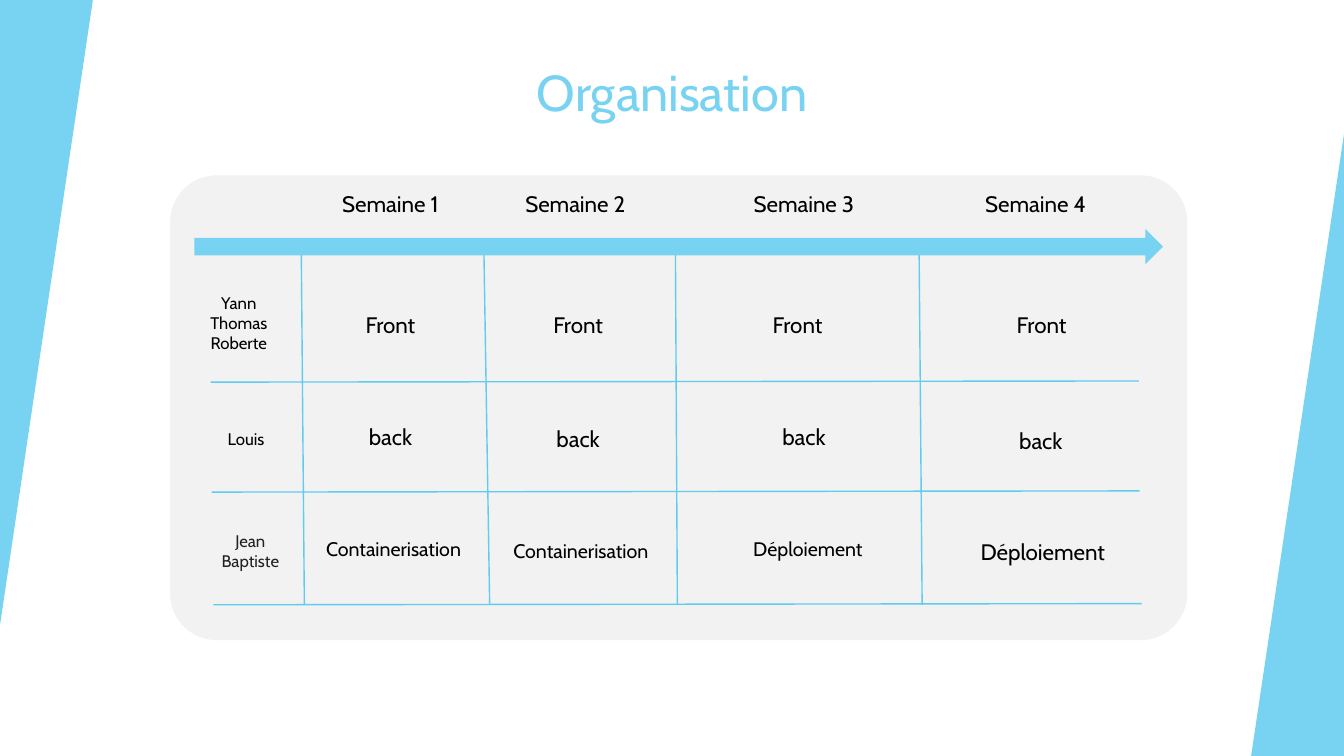
from pptx import Presentation
from pptx.dml.color import RGBColor
from pptx.enum.shapes import MSO_CONNECTOR, MSO_SHAPE as SHAPE
from pptx.enum.text import MSO_ANCHOR as ANCHOR, PP_ALIGN as ALIGN
from pptx.oxml.ns import qn
from pptx.util import Cm, Pt
from lxml.etree import SubElement

SKY = RGBColor(0x77, 0xD3, 0xF1)
GRID_BLUE = RGBColor(0x5F, 0xCB, 0xEF)
PANEL_GREY = RGBColor(0xF2, 0xF2, 0xF2)
BLACK = RGBColor(0, 0, 0)
CHARCOAL = RGBColor(0x21, 0x21, 0x21)
FONT = "Cabin"
SLIDE_W, SLIDE_H = 33.87, 19.05

# Lengths are in cm; positions inside the planning are relative to its panel.
PANEL = (4.29, 4.42, 25.63, 11.71)
GRID_TOP, GRID_BOTTOM = 1.6, 10.82
COLUMN_RULES = [(3.3, 3.38), (7.9, 8.05), (12.73, 12.78), (18.87, 18.95)]
ROW_RULES = [(1.02, 5.21), (1.04, 7.98), (1.09, 10.82)]
RULE_LENGTH, RULE_RISE = 23.39, 0.03
WEEK_WIDTH, TEAM_WIDTH = 4.5, 2.6

# Each entry: text, centre x, centre y, size
WEEKS = [(f"Semaine {number}", x, 0.7, 16)
         for number, x in enumerate((5.55, 10.21, 15.97, 21.81), 1)]
TASKS = [
    *(("Front", x, 3.75, 16) for x in (5.55, 10.28, 15.81, 21.96)),
    ("back", 5.55, 6.57, 16), ("back", 10.28, 6.64, 16),
    ("back", 15.97, 6.57, 16), ("back", 21.94, 6.67, 16),
    ("Containerisation", 5.63, 9.4, 14), ("Containerisation", 10.35, 9.45, 14),
    ("Déploiement", 16.07, 9.4, 14), ("Déploiement", 21.99, 9.49, 16),
]
TEAMS = [
    (("Yann", "Thomas", "Roberte"), 1.73, 3.72, BLACK),
    (("Louis",), 1.91, 6.65, BLACK),
    (("Jean Baptiste",), 2.02, 9.47, CHARCOAL),
]


def add_filled(slide, kind, box, color):
    shape = slide.shapes.add_shape(kind, *map(Cm, box))
    shape.shadow.inherit = False
    shape.fill.solid()
    shape.fill.fore_color.rgb = color
    shape.line.fill.background()
    return shape


def add_rule(slide, start, end):
    rule = slide.shapes.add_connector(
        MSO_CONNECTOR.STRAIGHT, *map(Cm, (*start, *end)))
    rule.line.color.rgb = GRID_BLUE
    rule.line.width = Pt(1)
    SubElement(rule._element.spPr, qn("a:effectLst"))


def write_line(paragraph, text, size, color):
    paragraph.alignment = ALIGN.CENTER
    run = paragraph.add_run()
    run.text = text
    run.font.name = FONT
    run.font.size = Pt(size)
    run.font.color.rgb = color


def add_label(slide, lines, centre, width, size, color=BLACK):
    """Write centred lines in a box around the given centre."""
    x, y = centre
    height = 0.5 * len(lines) + 0.4
    label = slide.shapes.add_textbox(
        *map(Cm, (x - width / 2, y - height / 2, width, height)))
    frame = label.text_frame
    frame.word_wrap = True
    frame.vertical_anchor = ANCHOR.MIDDLE
    for index, line in enumerate(lines):
        paragraph = frame.add_paragraph() if index else frame.paragraphs[0]
        write_line(paragraph, line, size, color)


def add_side_wedges(slide, width, height):
    left = add_filled(slide, SHAPE.ISOSCELES_TRIANGLE,
                      (0, 0, width, height), SKY)
    left.rotation = 180
    right = add_filled(slide, SHAPE.ISOSCELES_TRIANGLE,
                       (SLIDE_W - width, 3.38, width, SLIDE_H - 3.38), SKY)
    for wedge in (left, right):
        wedge.adjustments[0] = 1


def set_title(slide, text, box):
    title = slide.shapes.title
    title.left, title.top, title.width, title.height = map(Cm, box)
    title.text_frame.vertical_anchor = ANCHOR.TOP
    write_line(title.text_frame.paragraphs[0], text, 36, SKY)


def add_planning(slide, box):
    """Draw the panel, its grid, the time arrow and all cell texts."""
    left, top, _, _ = box

    def place(x, y):
        return left + x, top + y

    panel = add_filled(slide, SHAPE.ROUNDED_RECTANGLE, box, PANEL_GREY)
    panel.adjustments[0] = 0.1
    for x_top, x_bottom in COLUMN_RULES:
        add_rule(slide, place(x_top, GRID_TOP), place(x_bottom, GRID_BOTTOM))
    for x, y in ROW_RULES:
        add_rule(slide, place(x, y), place(x + RULE_LENGTH, y - RULE_RISE))
    add_filled(slide, SHAPE.RIGHT_ARROW, (*place(0.61, 1.35), 24.41, 0.89), SKY)
    for text, x, y, size in WEEKS + TASKS:
        add_label(slide, (text,), place(x, y), WEEK_WIDTH, size)
    for names, x, y, color in TEAMS:
        add_label(slide, names, place(x, y), TEAM_WIDTH, 12, color)


def main():
    deck = Presentation()
    deck.slide_width, deck.slide_height = Cm(SLIDE_W), Cm(SLIDE_H)
    slide = deck.slides.add_slide(deck.slide_layouts[5])
    add_side_wedges(slide, 2.34, 15.75)
    set_title(slide, "Organisation", (0, 1.42, SLIDE_W, 3.66))
    add_planning(slide, PANEL)
    deck.save("out.pptx")


if __name__ == "__main__":
    main()
